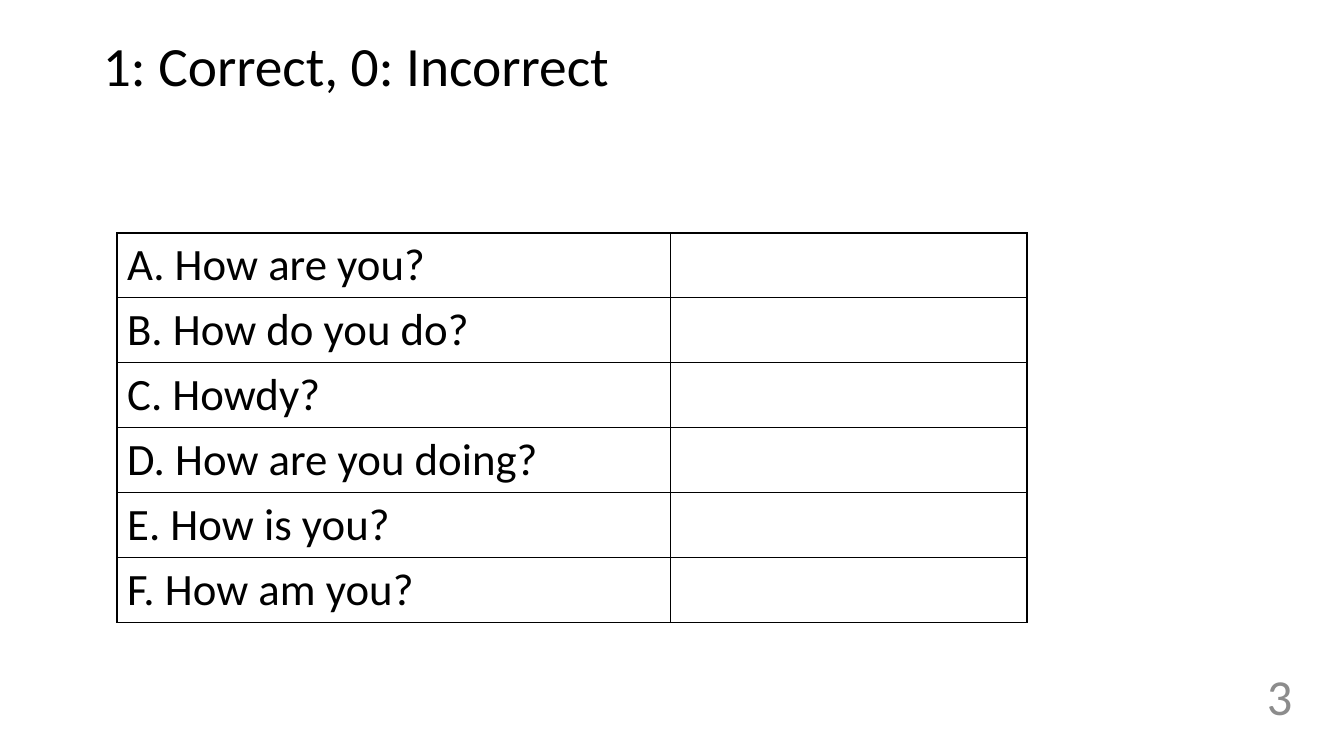
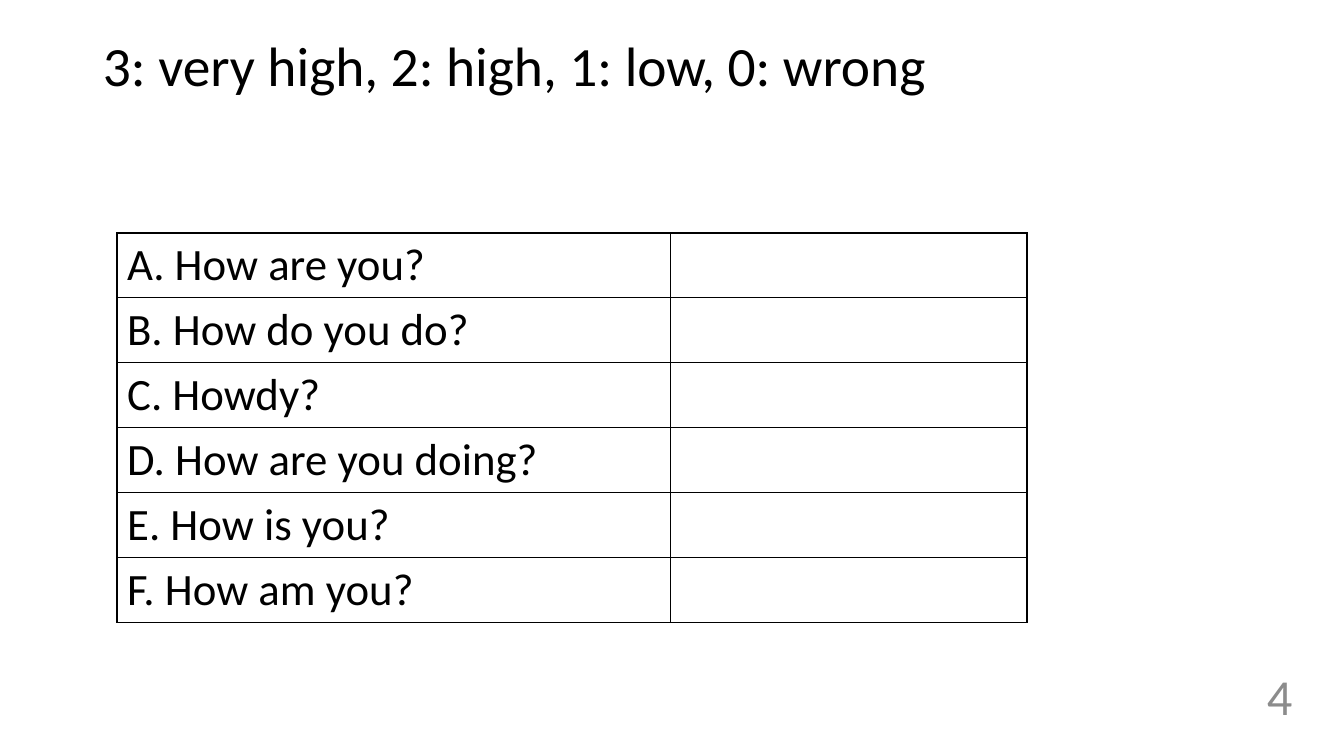
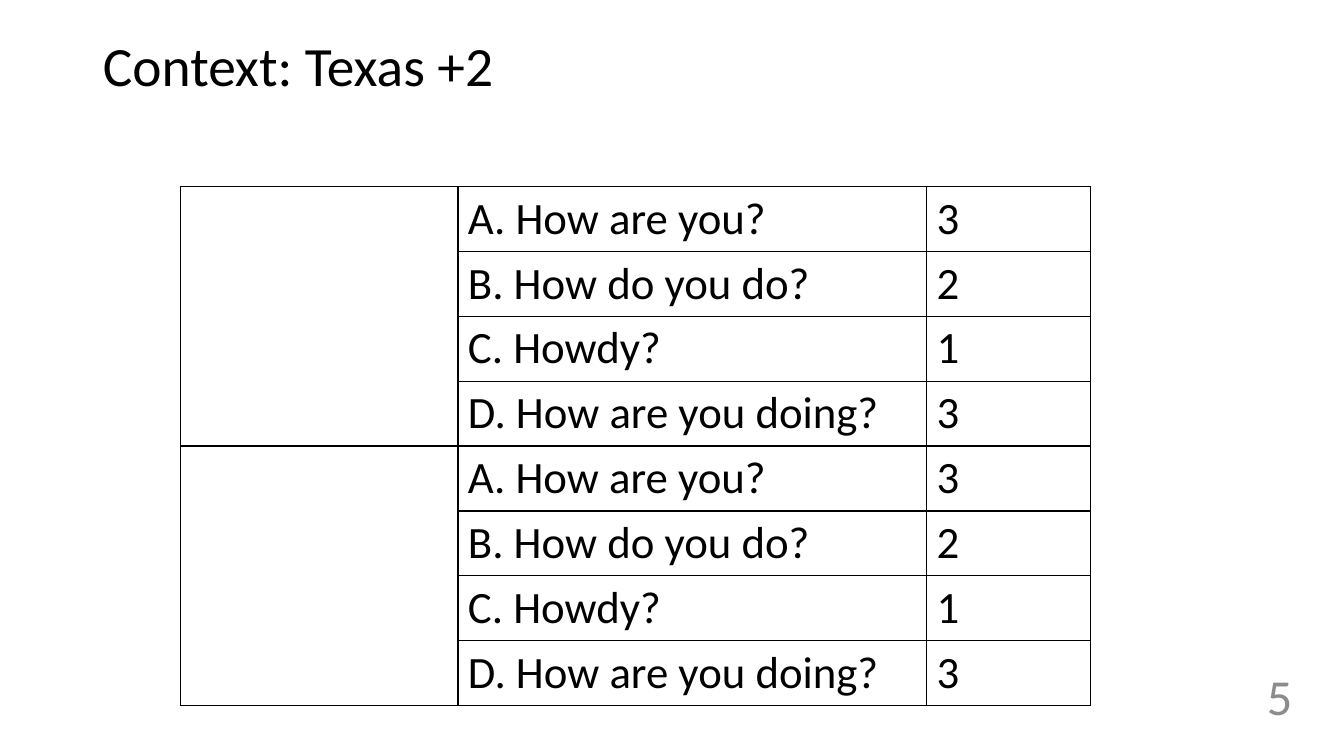
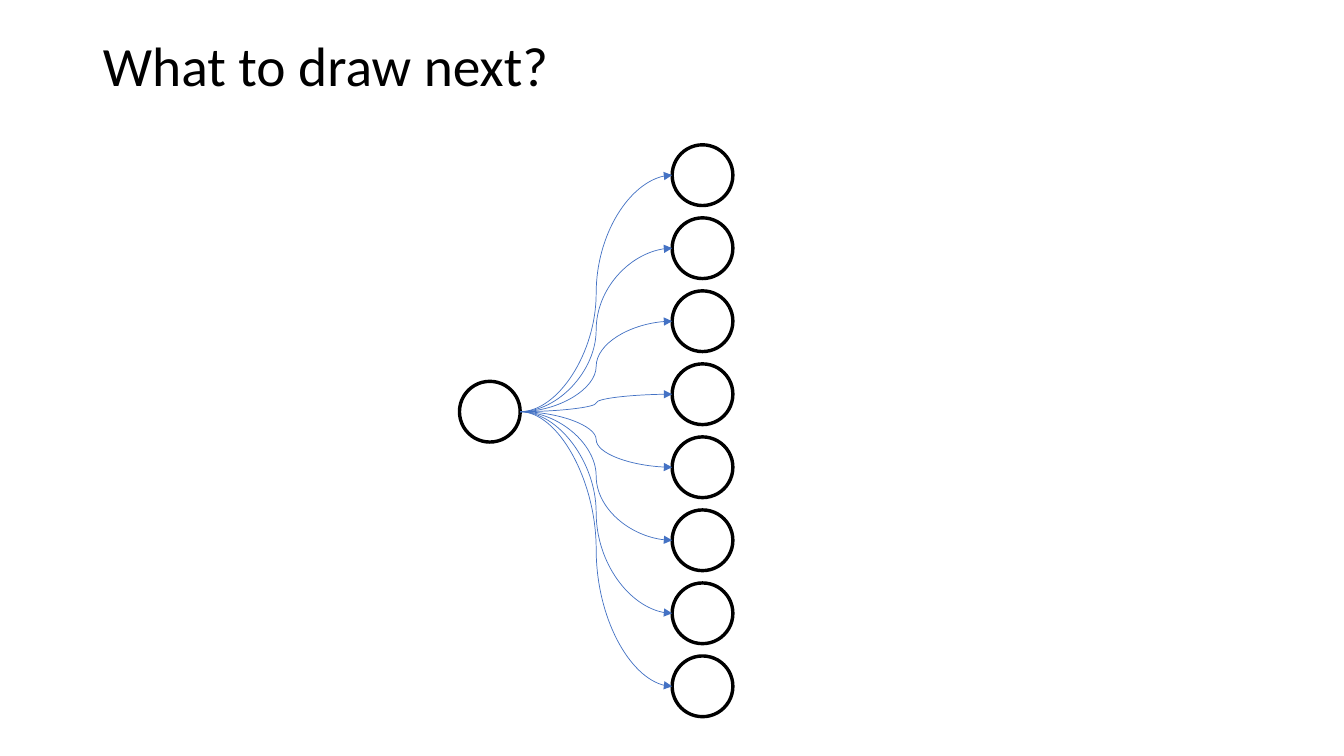
from pptx import Presentation
from pptx import util as u
from pptx.dml.color import RGBColor
from pptx.enum import shapes, text
from pptx.oxml.ns import qn
from lxml import etree

BLACK, GREY, BLUE = "000000", "8C8C8C", "4472C4"


def hue(code):
    return RGBColor.from_string(code)


def style(par, size, color, align=text.PP_ALIGN.LEFT):
    par.font.name = "Calibri"
    par.font.size = u.Pt(size)
    par.font.color.rgb = hue(color)
    par.alignment = align


# Content: title, page number, table left, table top, column widths, rows
asks = ["A. How are you?", "B. How do you do?", "C. Howdy?",
        "D. How are you doing?", "E. How is you?", "F. How am you?"]
blank = [(ask, "") for ask in asks]
rated = [("", ask, rank) for ask, rank in zip(asks, "3213")] * 2
pair = (2.95, 5.87, (13.94, 8.99), blank)
pages = [
    ("1: Correct, 0: Incorrect", "3", pair),
    ("3: very high, 2: high, 1: low, 0: wrong", "4", pair),
    ("Context: Texas +2", "5", (4.55, 4.7, (6.99, 11.81, 4.14), rated)),
    ("What to draw next?", None, None),
]
ROW = 1.63

prs = Presentation()
prs.slide_width, prs.slide_height = u.Cm(33.87), u.Cm(19.05)

for title, page, grid in pages:
    slide = prs.slides.add_slide(prs.slide_layouts[5])

    # Title
    head = slide.shapes.title
    head.left, head.top = u.Cm(2.34), u.Cm(1.02)
    head.width, head.height = u.Cm(29.21), u.Cm(1.4)
    frame = head.text_frame
    frame.text = title
    frame.auto_size = text.MSO_AUTO_SIZE.NONE
    frame.vertical_anchor = text.MSO_ANCHOR.MIDDLE
    frame.paragraphs[0].line_spacing = 0.9
    style(frame.paragraphs[0], 39.6, BLACK)

    if not grid:
        continue

    # Table
    left, top, cols, rows = grid
    table = slide.shapes.add_table(
        len(rows), len(cols), u.Cm(left), u.Cm(top),
        u.Cm(sum(cols)), u.Cm(ROW * len(rows))).table
    for col, width in zip(table.columns, cols):
        col.width = u.Cm(width)
    for r, row in enumerate(rows):
        for c, word in enumerate(row):
            cell = table.cell(r, c)
            cell.text = word
            style(cell.text_frame.paragraphs[0], 32, BLACK)
            props = cell._tc.get_or_add_tcPr()
            for side in ("lnL", "lnR", "lnT", "lnB"):
                edge = etree.SubElement(props, qn("a:" + side), w=str(u.Pt(1)))
                fill = etree.SubElement(edge, qn("a:solidFill"))
                etree.SubElement(fill, qn("a:srgbClr"), val=BLACK)
            cell.fill.background()
    if len(cols) == 3:
        for r in (0, 4):
            table.cell(r, 0).merge(table.cell(r + 3, 0))

    # Page number
    box = slide.shapes.add_textbox(u.Cm(29.64), u.Cm(16.43), u.Cm(3.18), u.Cm(2.18))
    frame = box.text_frame
    frame.word_wrap = True
    frame.vertical_anchor = text.MSO_ANCHOR.MIDDLE
    frame.text = page
    style(frame.paragraphs[0], 36, GREY, text.PP_ALIGN.RIGHT)

# Circles on the last slide: one root, then a column of eight leaves
SIZE = 1.53
root = (11.58, 9.61)
leaves = [(16.94, 3.65 + 1.84 * i) for i in range(8)]
for x, y in [root] + leaves:
    ring = slide.shapes.add_shape(
        shapes.MSO_SHAPE.OVAL, u.Cm(x), u.Cm(y), u.Cm(SIZE), u.Cm(SIZE))
    ring.shadow.inherit = False
    ring.fill.background()
    ring.line.color.rgb = hue(BLACK)
    ring.line.width = u.Pt(2.43)

# Curved arrows from the root to each leaf
for x, y in leaves:
    link = slide.shapes.add_connector(
        shapes.MSO_CONNECTOR.CURVE,
        u.Cm(root[0] + SIZE), u.Cm(root[1] + SIZE / 2),
        u.Cm(x), u.Cm(y + SIZE / 2))
    link.line.color.rgb = hue(BLUE)
    link.line.width = u.Pt(0.5)
    etree.SubElement(link.line._get_or_add_ln(), qn("a:tailEnd"), type="triangle")
    etree.SubElement(link._element.spPr, qn("a:effectLst"))

prs.save("out.pptx")
